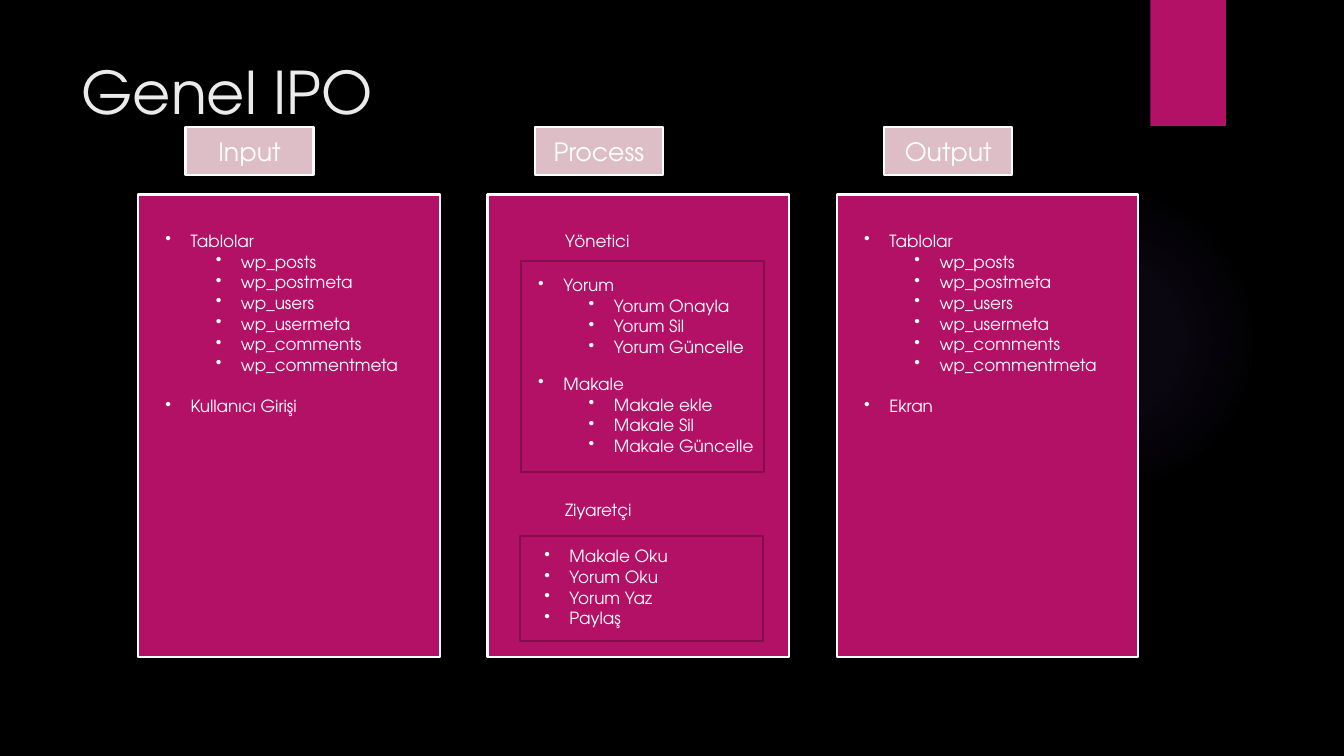
from lxml import etree
from pptx import Presentation
from pptx.dml.color import RGBColor
from pptx.enum.shapes import MSO_SHAPE
from pptx.enum.text import MSO_ANCHOR, PP_ALIGN
from pptx.oxml import parse_xml
from pptx.oxml.ns import nsdecls, qn
from pptx.util import Inches, Pt

RECTANGLE, ELLIPSE = MSO_SHAPE.RECTANGLE, MSO_SHAPE.OVAL
TOP, MIDDLE = MSO_ANCHOR.TOP, MSO_ANCHOR.MIDDLE
LEFT, CENTER = PP_ALIGN.LEFT, PP_ALIGN.CENTER

FONT = "TeX Gyre Adventor"
COLORS = {"background": "000000", "panel": "B31166", "tab": "DDBDC6",
          "frame": "840D4B", "text": "FFFFFF", "title": "EBEBEB", "glow": "9B6BF2"}

# Content: lines are (level, text, extra space before in points)
TITLE = "Genel IPO"
TABLES = [(1, "Tablolar", 0)] + [(2, name, 0) for name in (
    "wp_posts", "wp_postmeta", "wp_users", "wp_usermeta", "wp_comments", "wp_commentmeta")]
COLUMNS = [
    ("Input", TABLES + [(1, "Kullanıcı Girişi", 14.8)]),
    ("Process", [(0, "Yönetici", 0), (0, "Ziyaretçi", 177.4)]),
    ("Output", TABLES + [(1, "Ekran", 14.8)]),
]
FRAMES = [(5.17, 2.59, 2.41, 2.09), (5.16, 5.32, 2.41, 1.04)]
LISTS = [
    ((5.24, 2.7, 2.37, 0.92), [(1, "Yorum", 0), (2, "Yorum Onayla", 0),
                               (2, "Yorum Sil", 0), (2, "Yorum Güncelle", 0)]),
    ((5.24, 3.68, 2.37, 1), [(1, "Makale", 0), (2, "Makale ekle", 0),
                             (2, "Makale Sil", 0), (2, "Makale Güncelle", 0)]),
    ((5.3, 5.39, 1.44, 0.92), [(1, "Makale Oku", 0), (1, "Yorum Oku", 0),
                               (1, "Yorum Yaz", 0), (1, "Paylaş", 0)]),
]
# Level: (left margin in inches, bulleted)
LEVELS = {0: (0.5, False), 1: (0.25, True), 2: (0.75, True)}
GLOW_STOPS = [(0, 7), (36, 6), (69, 0)]

# Column geometry
FIRST_LEFT, COLUMN_STEP = 1.37, 3.465
PANEL_TOP, PANEL_WIDTH, PANEL_HEIGHT = 1.93, 2.99, 4.59
TAB_OFFSET, TAB_TOP, TAB_WIDTH, TAB_HEIGHT = 0.47, 1.26, 1.27, 0.48


def color(name):
    return RGBColor.from_string(COLORS[name])


def add_box(place, fill, line=None, kind=RECTANGLE):
    box = page.shapes.add_shape(kind, *map(Inches, place))
    box.shadow.inherit = False
    box.fill.solid()
    box.fill.fore_color.rgb = color(fill)
    if line:
        box.line.color.rgb = color(line)
        box.line.width = Pt(1.5)
    else:
        box.line.fill.background()
    return box


def style(para, text, size, name="text", align=LEFT):
    para.text = text
    para.alignment = align
    para.font.name = FONT
    para.font.size = Pt(size)
    para.font.color.rgb = color(name)


def write_lines(frame, lines):
    frame.word_wrap = True
    frame.vertical_anchor = TOP
    for index, (level, text, gap) in enumerate(lines):
        para = frame.add_paragraph() if index else frame.paragraphs[0]
        margin, bulleted = LEVELS[level]
        properties = para._p.get_or_add_pPr()
        properties.set("marL", str(Inches(margin)))
        properties.set("indent", str(Inches(-0.25 if bulleted else 0)))
        if bulleted:
            etree.SubElement(properties, qn("a:buChar")).set("char", "•")
        para.line_spacing = 0.9
        para.space_before = Pt(gap)
        para.space_after = Pt(1.8)
        style(para, text, 12)


deck = Presentation()
deck.slide_width, deck.slide_height = Inches(13.33), Inches(7.5)
page = deck.slides.add_slide(deck.slide_layouts[6])
page.background.fill.solid()
page.background.fill.fore_color.rgb = color("background")

# Faint round glow and corner ribbon
glow = add_box((9.41, 1.83, 3.08, 3.08), "glow", kind=ELLIPSE)
stops = "".join(
    f'<a:gs pos="{position * 1000}"><a:srgbClr val="{COLORS["glow"]}">'
    f'<a:alpha val="{alpha * 1000}"/></a:srgbClr></a:gs>' for position, alpha in GLOW_STOPS)
gradient = parse_xml(
    f'<a:gradFill {nsdecls("a")}><a:gsLst>{stops}</a:gsLst><a:path path="circle">'
    '<a:fillToRect l="50000" t="50000" r="50000" b="50000"/></a:path></a:gradFill>')
solid = glow._element.spPr.find(qn("a:solidFill"))
solid.getparent().replace(solid, gradient)
add_box((11.41, 0, 0.75, 1.25), "panel")

# Title
title = page.shapes.add_textbox(Inches(0.71), Inches(0.5), Inches(10.29), Inches(1.53))
title.text_frame.word_wrap = True
style(title.text_frame.paragraphs[0], TITLE, 42, "title")

# Columns with their tabs
for index, (heading, lines) in enumerate(COLUMNS):
    left = FIRST_LEFT + index * COLUMN_STEP
    panel = add_box((left, PANEL_TOP, PANEL_WIDTH, PANEL_HEIGHT), "panel", "text")
    frame = panel.text_frame
    frame.margin_left = frame.margin_right = frame.margin_bottom = Inches(0.27)
    frame.margin_top = Inches(0.38)
    write_lines(frame, lines)
    tab = add_box((left + TAB_OFFSET, TAB_TOP, TAB_WIDTH, TAB_HEIGHT), "tab", "text")
    tab.text_frame.vertical_anchor = MIDDLE
    style(tab.text_frame.paragraphs[0], heading, 18, align=CENTER)

# Framed lists in the middle column
for place in FRAMES:
    add_box(place, "panel", "frame")
for place, lines in LISTS:
    write_lines(page.shapes.add_textbox(*map(Inches, place)).text_frame, lines)

deck.save("out.pptx")
